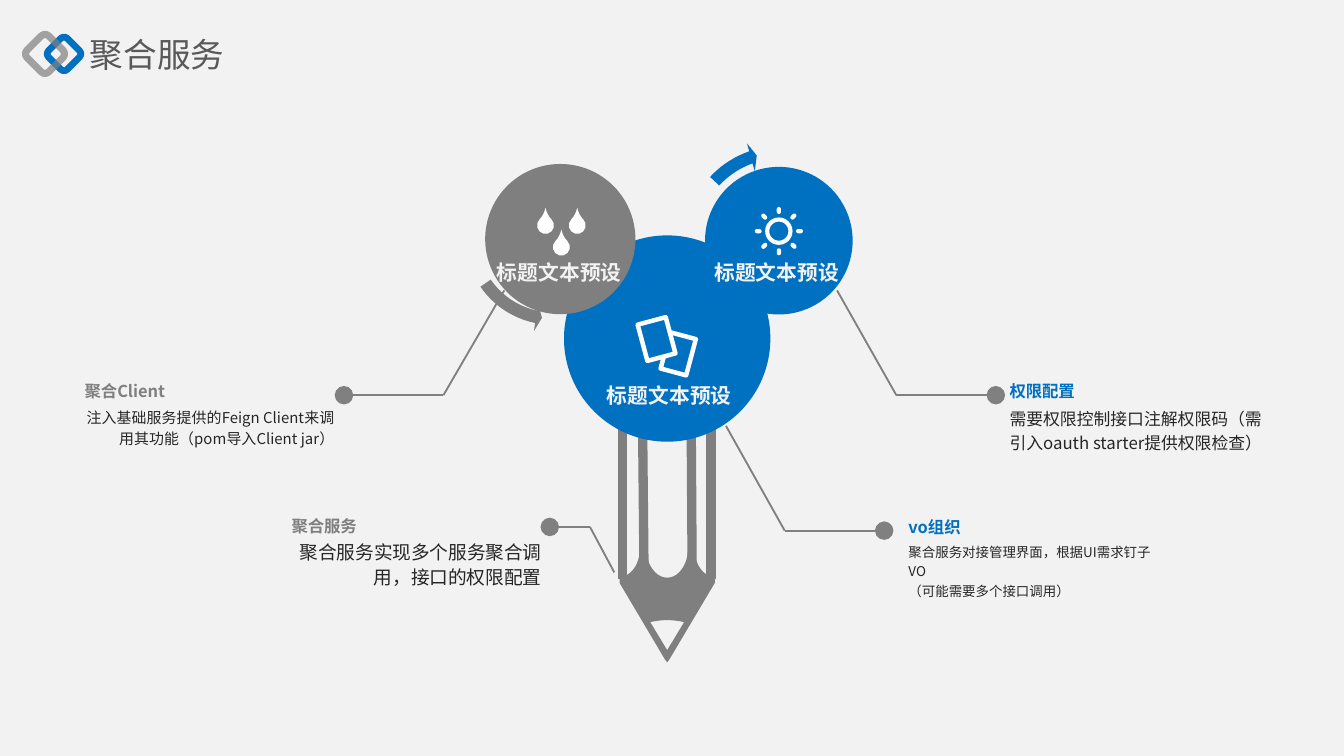
from math import cos, pi, sin

from lxml import etree
from pptx import Presentation
from pptx.dml.color import RGBColor
from pptx.enum.shapes import MSO_CONNECTOR, MSO_SHAPE
from pptx.enum.text import MSO_ANCHOR, PP_ALIGN
from pptx.oxml.ns import qn
from pptx.util import Cm, Pt

OVAL, RECT, ROUND = MSO_SHAPE.OVAL, MSO_SHAPE.RECTANGLE, MSO_SHAPE.ROUNDED_RECTANGLE
LEFT, CENTER, RIGHT = PP_ALIGN.LEFT, PP_ALIGN.CENTER, PP_ALIGN.RIGHT
TOP, MIDDLE = MSO_ANCHOR.TOP, MSO_ANCHOR.MIDDLE
FONT = "Noto Sans CJK SC"
COLORS = {
    "back": "F2F2F2", "gray": "7F7F7F", "leader": "808080", "blue": "0070C0",
    "white": "FFFFFF", "body": "262626", "title": "595959",
}
RGB = {name: RGBColor.from_string(code) for name, code in COLORS.items()}

prs = Presentation()
prs.slide_width, prs.slide_height = Cm(25.4), Cm(14.29)
s = prs.slides.add_slide(prs.slide_layouts[6])
s.background.fill.solid()
s.background.fill.fore_color.rgb = RGB["back"]


def add_shape(kind, cx, cy, w, h, fill=None, line=None, width=1, rot=0, adj=()):
    """Add a preset shape around a centre point, in centimetres."""
    sp = s.shapes.add_shape(kind, Cm(cx - w / 2), Cm(cy - h / 2), Cm(w), Cm(h))
    sp.shadow.inherit = False
    sp.rotation = rot
    for i, value in enumerate(adj):
        sp.adjustments[i] = value
    if fill:
        sp.fill.solid()
        sp.fill.fore_color.rgb = RGB[fill]
    else:
        sp.fill.background()
    if line:
        sp.line.color.rgb = RGB[line]
        sp.line.width = Pt(width)
    else:
        sp.line.fill.background()
    return sp


def add_text(text, x, y, w, h, size, color, bold=False, align=LEFT, anchor=TOP, spacing=1.0):
    tf = s.shapes.add_textbox(Cm(x), Cm(y), Cm(w), Cm(h)).text_frame
    tf.word_wrap = True
    tf.margin_left = tf.margin_right = tf.margin_top = tf.margin_bottom = 0
    tf.vertical_anchor = anchor
    p = tf.paragraphs[0]
    p.text = text
    p.alignment = align
    p.line_spacing = spacing
    for r in p.runs:
        r.font.size, r.font.bold, r.font.name = Pt(size), bold, FONT
        r.font.color.rgb = RGB[color]
        etree.SubElement(r.font._element, qn("a:ea"), typeface=FONT)


# Lines: pencil body, then leaders that end in a dot
lines = [
    (11.76, 7.87, 11.76, 10.95, "gray", 5, False),
    (13.44, 7.85, 13.44, 10.95, "gray", 5, False),
    (12.14, 7.59, 12.17, 10.69, "gray", 5, False),
    (13.06, 7.59, 13.08, 10.69, "gray", 5, False),
]
leaders = [
    ((9.53, 5.49), (8.38, 7.47), 6.5),
    ((11.61, 10.82), (11.15, 9.96), 10.39),
    ((15.82, 5.49), (16.94, 7.47), 18.82),
    ((13.72, 8.05), (14.83, 10.03), 16.71),
]
for (x1, y1), (x2, y2), end in leaders:
    lines += [(x1, y1, x2, y2, "leader", 1, False), (x2, y2, end, y2, "leader", 1, True)]
for x1, y1, x2, y2, color, width, dot in lines:
    c = s.shapes.add_connector(MSO_CONNECTOR.STRAIGHT, Cm(x1), Cm(y1), Cm(x2), Cm(y2))
    c.line.color.rgb = RGB[color]
    c.line.width = Pt(width)
    if dot:
        etree.SubElement(c.line._get_or_add_ln(), qn("a:tailEnd"), type="oval", w="lg", len="lg")
    etree.SubElement(c._element.spPr, qn("a:effectLst"))

# Pencil tip: left half mirrored, curves given as four control points
AXIS = 12.61
half_parts = [
    [(AXIS, 12.52)], [(12.57, 12.47)], [(11.71, 11.02)], [(11.71, 10.95)],
    [(11.76, 10.9), (11.94, 10.87), (12.07, 10.67), (12.09, 10.44)],
    [(12.14, 10.36)], [(12.19, 10.38)],
    [(12.22, 10.44), (12.24, 10.69), (12.4, 10.92), (AXIS, 10.92)],
]
lead_parts = [[(12.29, 11.76), (12.52, 11.71), (12.7, 11.71), (12.93, 11.76)], [(AXIS, 12.29)]]
outlines = []
for parts in (half_parts, lead_parts):
    points = []
    for part in parts:
        if len(part) == 1:
            points += part
            continue
        for t in (i / 10 for i in range(11)):
            weights = ((1 - t) ** 3, 3 * t * (1 - t) ** 2, 3 * t * t * (1 - t), t ** 3)
            points.append(tuple(sum(k * q[axis] for k, q in zip(weights, part)) for axis in (0, 1)))
    outlines.append(points)
outlines[0] += [(2 * AXIS - x, y) for x, y in reversed(outlines[0])]
contours = [[(Cm(x), Cm(y)) for x, y in points] for points in outlines]
fb = s.shapes.build_freeform(*contours[0][0])
fb.add_line_segments(contours[0][1:])
fb.move_to(*contours[1][0])
fb.add_line_segments(contours[1][1:])
tip = fb.convert_to_shape()
tip.shadow.inherit = False
tip.fill.solid()
tip.fill.fore_color.rgb = RGB["gray"]
tip.line.fill.background()

# Circles with their captions
circles = [
    (12.61, 6.4, 3.9, "blue", 12.65, 7.48),
    (10.59, 4.52, 2.84, "gray", 10.57, 5.14),
    (14.72, 4.55, 2.79, "blue", 14.68, 5.14),
]
for cx, cy, d, color, _, _ in circles:
    add_shape(OVAL, cx, cy, d, d, color)
for _, _, _, _, tx, ty in circles:
    add_text("标题文本预设", tx - 1.25, ty - 0.19, 2.5, 0.38, 11.1, "back",
             bold=True, align=CENTER, anchor=MIDDLE)

# Curved arrows: an angle adjustment is 0.6 per degree
for kind, cx, cy, d, rot, color, adj in [
    (MSO_SHAPE.LEFT_CIRCULAR_ARROW, 10.45, 4.48, 3.63, 357.1, "gray",
     (0.065, 4.3 * 0.6, 104.89 * 0.6, 148.38 * 0.6, 0.075)),
    (MSO_SHAPE.CIRCULAR_ARROW, 14.75, 4.57, 3.93, 117.5, "blue",
     (0.06, 3.94 * 0.6, 133.14 * 0.6, 105.08 * 0.6, 0.07)),
]:
    add_shape(kind, cx, cy, d, d, color, rot=rot, adj=adj)

# Drops icon
for cx, cy in [(10.31, 4.26), (10.91, 4.26), (10.61, 4.67)]:
    add_shape(MSO_SHAPE.TEAR, cx, cy, 0.32, 0.32, "white", rot=315, adj=(1.47,))

# Sun icon
SUN_X, SUN_Y, RAY = 14.72, 4.37, 0.39
add_shape(OVAL, SUN_X, SUN_Y, 0.44, 0.44, line="white", width=2.2)
for i in range(8):
    a = i * pi / 4
    add_shape(ROUND, SUN_X + RAY * sin(a), SUN_Y - RAY * cos(a), 0.08, 0.13, "white",
              rot=i * 45, adj=(0.5,))

# Cards icon
for cx, cy, w, rot in [(12.82, 6.69, 0.5, 15), (12.41, 6.41, 0.55, 345)]:
    add_shape(RECT, cx, cy, w, 0.71, "blue", "white", 2.4, rot)

# Notes: heading and body
notes = [
    ("聚合Client", "注入基础服务提供的Feign Client来调用其功能（pom导入Client jar）",
     1.6, 7.21, 4.72, "gray", 8, RIGHT, 1.2),
    ("聚合服务", "聚合服务实现多个服务聚合调用，接口的权限配置",
     5.51, 9.75, 4.72, "gray", 10, RIGHT, 1.1),
    ("权限配置", "需要权限控制接口注解权限码（需引入oauth starter提供权限检查）",
     19.08, 7.21, 4.83, "blue", 9, LEFT, 1.2),
    ("vo组织", "聚合服务对接管理界面，根据UI需求钉子VO\v（可能需要多个接口调用）",
     17.17, 9.78, 4.83, "blue", 7.2, LEFT, 1.2),
]
for head, body, x, y, w, color, size, align, spacing in notes:
    add_text(head, x, y, w, 0.46, 8.8, color, bold=True)
    add_text(body, x, y + 0.44, w, 0.97, size, "body", align=align, spacing=spacing)

# Title with two linked diamonds
add_text("聚合服务", 1.7, 0.48, 5.92, 1.07, 18, "title", anchor=MIDDLE)
add_shape(ROUND, 1.21, 1.02, 0.5, 0.5, line="blue", width=3.6, rot=45)
diamond = add_shape(ROUND, 0.85, 1.02, 0.58, 0.58, line="leader", width=3.8, rot=45)
tint = diamond.line._get_or_add_ln().find(".//" + qn("a:srgbClr"))
etree.SubElement(tint, qn("a:alpha"), val="69000")

prs.save("out.pptx")
